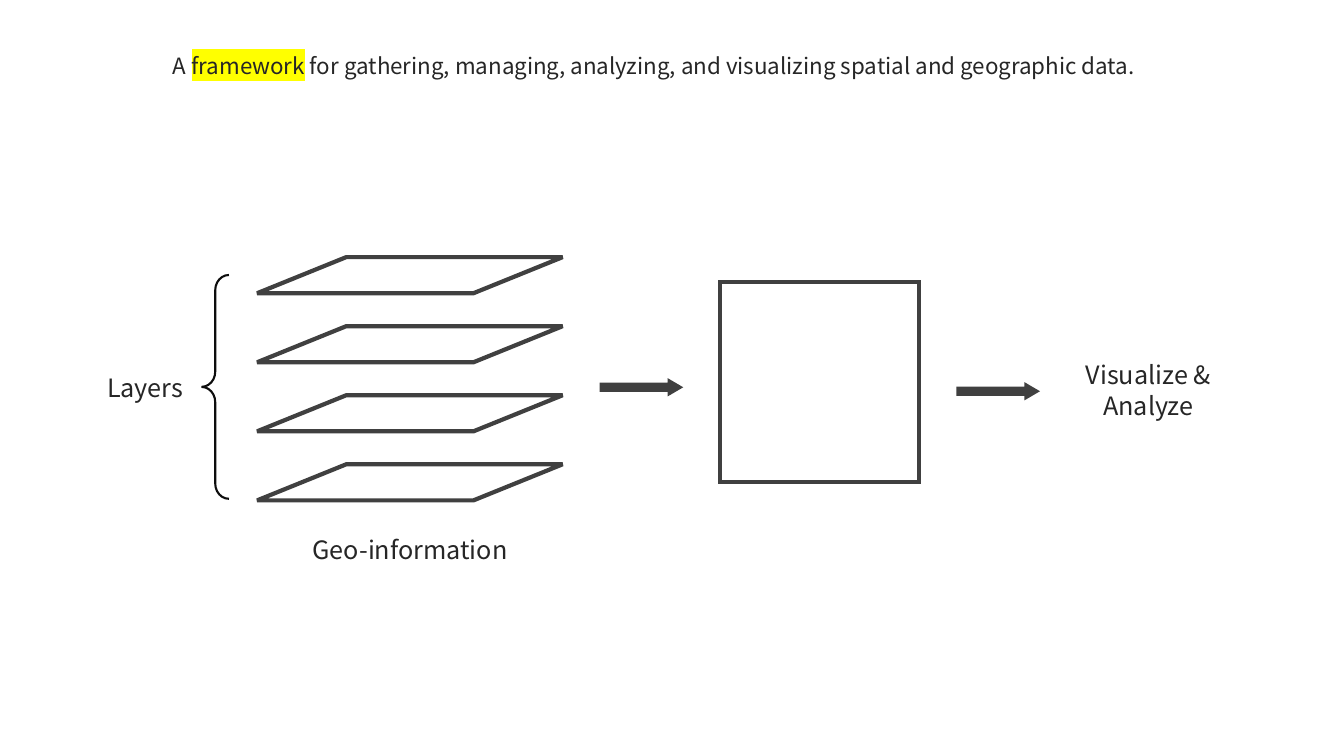
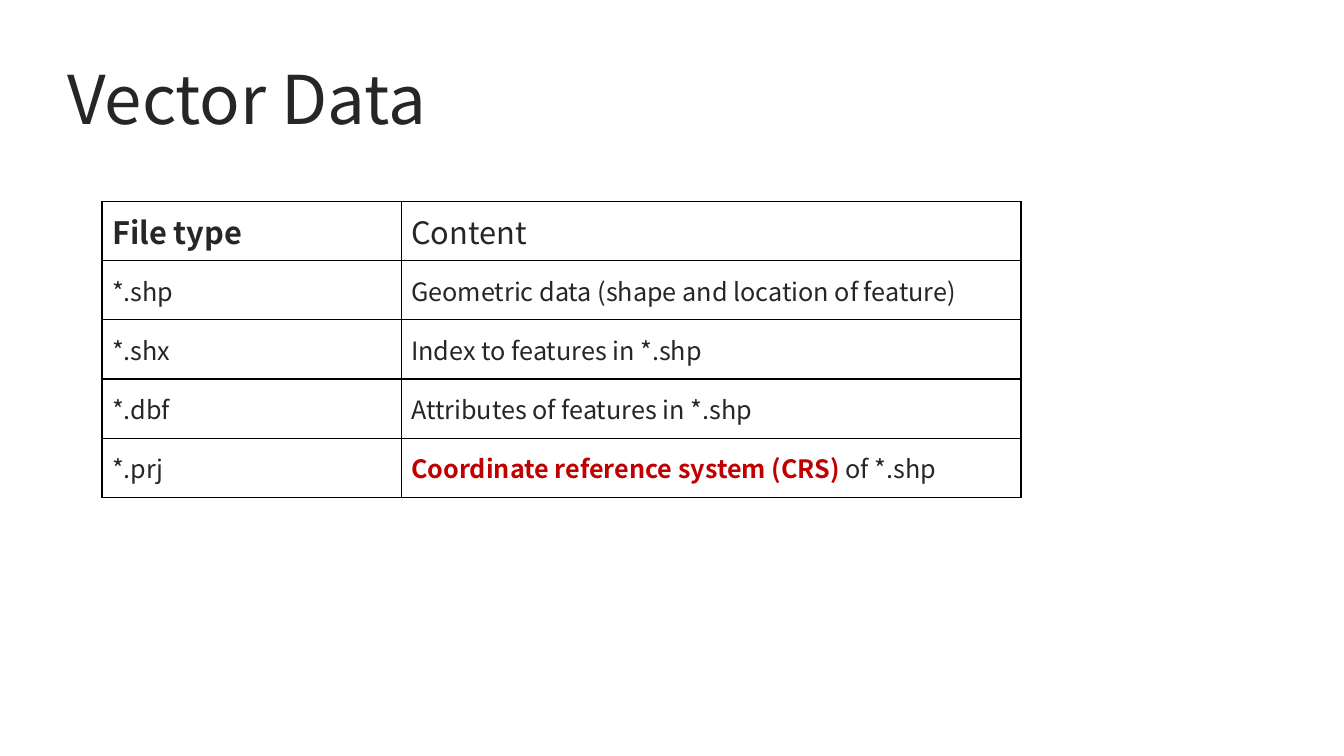
from lxml import etree
from pptx import Presentation
from pptx.dml.color import RGBColor
from pptx.enum.shapes import MSO_SHAPE
from pptx.enum.text import MSO_ANCHOR, PP_ALIGN
from pptx.oxml.ns import qn
from pptx.util import Cm, Pt

RECT, ARROW = MSO_SHAPE.RECTANGLE, MSO_SHAPE.RIGHT_ARROW
LAYER, BRACE = MSO_SHAPE.PARALLELOGRAM, MSO_SHAPE.LEFT_BRACE
LEFT, CENTER, MIDDLE = PP_ALIGN.LEFT, PP_ALIGN.CENTER, MSO_ANCHOR.MIDDLE

FONT = "Noto Sans CJK TC"
COLORS = {"text": "262626", "shape": "404040", "brace": "0D0D0D",
          "border": "000000", "accent": "C00000", "marker": "FFFF00"}

# Text is a list of runs: (words, format)
DEFINITION = [
    ("A ", {}),
    ("framework", {"highlight": "marker"}),
    (" for gathering, managing, analyzing, and visualizing spatial and geographic data.", {}),
]
LABELS = [
    ("Layers", (2.24, 9.25, 2.84, 1.02)),
    ("Geo-information", (7.49, 13.34, 5.69, 1.02)),
    ("Visualize & Analyze", (27.05, 8.94, 3.78, 1.8)),
]
LAYER_COUNT, LAYER_STEP = 4, 1.74
LAYER_BOX = (6.48, 6.48, 7.7, 0.91)
BRACE_BOX = (5.08, 6.93, 0.69, 5.64)
MAP_BOX = (18.14, 7.11, 5.03, 5.03)
ARROW_SPOTS = [(15.11, 9.53), (24.1, 9.63)]
ARROW_SIZE = (2.11, 0.46)

TITLE = "Vector Data"
FILE_TYPES = [
    ([("File type", {"bold": True})], [("Content", {})]),
    ([("*.shp", {})], [("Geometric data (shape and location of feature)", {})]),
    ([("*.shx", {})], [("Index to features in *.shp", {})]),
    ([("*.dbf", {})], [("Attributes of features in *.shp", {})]),
    ([("*.prj", {})], [("Coordinate reference system (CRS) ", {"bold": True, "color": "accent"}),
                       ("of *.shp", {})]),
]
COLUMN_WIDTHS, ROW_HEIGHT = (7.54, 15.62), 1.49


def rgb(name):
    return RGBColor.from_string(COLORS[name])


def write(tf, runs, size, align=LEFT, spacing=None):
    p = tf.paragraphs[0]
    p.alignment = align
    p.line_spacing = spacing
    for words, fmt in runs:
        r = p.add_run()
        r.text = words
        for key, value in {"name": FONT, "size": Pt(size), "bold": fmt.get("bold", False)}.items():
            setattr(r.font, key, value)
        r.font.color.rgb = rgb(fmt.get("color", "text"))
        rpr = r.font._element
        latin = rpr.find(qn("a:latin"))
        east_asian = etree.Element(qn("a:ea"), typeface=FONT)
        latin.addnext(east_asian)
        if "highlight" in fmt:
            highlight = etree.Element(qn("a:highlight"))
            etree.SubElement(highlight, qn("a:srgbClr"), val=COLORS[fmt["highlight"]])
            latin.addprevious(highlight)


def add_text(s, box, runs, size, **layout):
    tf = s.shapes.add_textbox(*map(Cm, box)).text_frame
    tf.word_wrap = True
    write(tf, runs, size, **layout)


def add_shape(s, kind, box, adjustments=(), fill=None, line=None, width=3):
    sp = s.shapes.add_shape(kind, *map(Cm, box))
    sp.shadow.inherit = False
    for i, value in enumerate(adjustments):
        sp.adjustments[i] = value
    if fill:
        sp.fill.solid()
        sp.fill.fore_color.rgb = rgb(fill)
    else:
        sp.fill.background()
    if line:
        sp.line.color.rgb = rgb(line)
        sp.line.width = Pt(width)
        etree.SubElement(sp.line._get_or_add_ln(), qn("a:miter"), lim="800000")
    else:
        sp.line.fill.background()


def add_borders(cell):
    tcpr = cell._tc.get_or_add_tcPr()
    for i, side in enumerate(("lnL", "lnR", "lnT", "lnB")):
        ln = etree.Element(qn(f"a:{side}"), w=str(Pt(1)))
        fill = etree.SubElement(ln, qn("a:solidFill"))
        etree.SubElement(fill, qn("a:srgbClr"), val=COLORS["border"])
        tcpr.insert(i, ln)


def build_framework(s):
    add_shape(s, RECT, MAP_BOX, line="shape")
    for spot in ARROW_SPOTS:
        add_shape(s, ARROW, spot + ARROW_SIZE, (0.5, 0.853), fill="shape")
    left, top, width, height = LAYER_BOX
    for i in range(LAYER_COUNT):
        add_shape(s, LAYER, (left, top + i * LAYER_STEP, width, height), (2.47,), line="shape")
    add_shape(s, BRACE, BRACE_BOX, (0.557, 0.5), line="brace", width=1.5)
    for words, box in LABELS:
        add_text(s, box, [(words, {})], 18, align=CENTER)
    add_text(s, (4.11, 0.86, 25.63, 1.17), DEFINITION, 16, spacing=1.5)


def build_vector_data(s):
    add_text(s, (1.45, 1.32, 10.57, 2.31), [(TITLE, {})], 48)
    box = (2.57, 5.08, sum(COLUMN_WIDTHS), ROW_HEIGHT * len(FILE_TYPES))
    table = s.shapes.add_table(len(FILE_TYPES), len(COLUMN_WIDTHS), *map(Cm, box)).table
    table.first_row = table.horz_banding = False
    for column, width in zip(table.columns, COLUMN_WIDTHS):
        column.width = Cm(width)
    for i, row in enumerate(FILE_TYPES):
        table.rows[i].height = Cm(ROW_HEIGHT)
        for j, runs in enumerate(row):
            cell = table.cell(i, j)
            cell.vertical_anchor = MIDDLE
            cell.fill.background()
            add_borders(cell)
            write(cell.text_frame, runs, 18 if i else 22)


def main():
    prs = Presentation()
    prs.slide_width, prs.slide_height = Cm(33.87), Cm(19.05)
    blank = prs.slide_layouts[6]
    for build in (build_framework, build_vector_data):
        build(prs.slides.add_slide(blank))
    prs.save("out.pptx")


if __name__ == "__main__":
    main()
